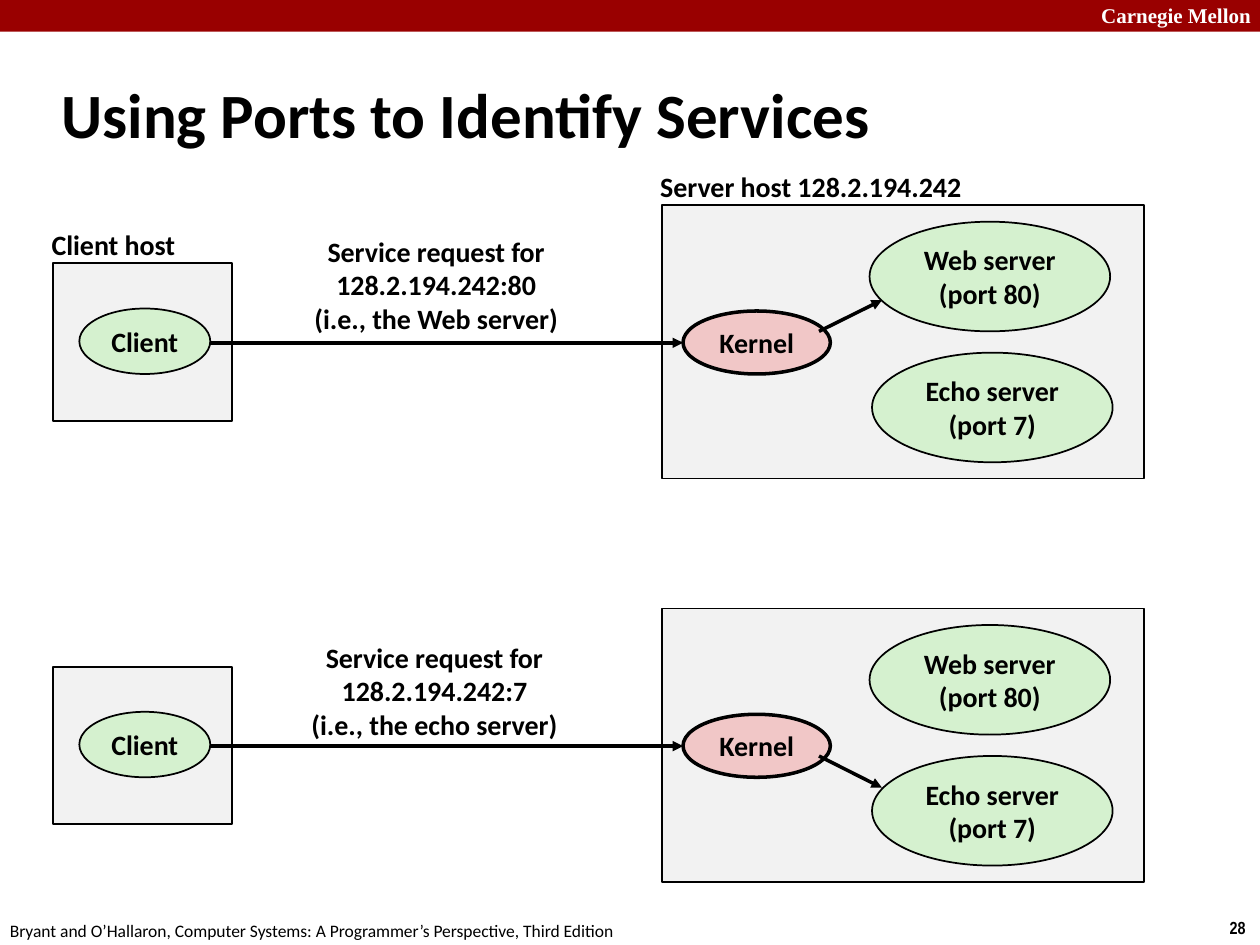
from lxml import etree
from pptx import Presentation
from pptx.dml.color import RGBColor
from pptx.enum import shapes, text
from pptx.oxml import ns
from pptx.util import Cm, Pt

BLACK = RGBColor(0, 0, 0)
WHITE = RGBColor(255, 255, 255)
RED = RGBColor(0x99, 0, 0)
GRAY = RGBColor(0xF2, 0xF2, 0xF2)
GREEN = RGBColor(0xD5, 0xF1, 0xCF)
PINK = RGBColor(0xF1, 0xC7, 0xC7)

RECT = shapes.MSO_SHAPE.RECTANGLE
OVAL = shapes.MSO_SHAPE.OVAL
LEFT, MID = text.PP_ALIGN.LEFT, text.PP_ALIGN.CENTER
TOP, CENTER = text.MSO_ANCHOR.TOP, text.MSO_ANCHOR.MIDDLE

BODY = {"name": "Calibri", "size": Pt(16), "bold": True}
TITLE = {**BODY, "size": Pt(36)}
BRAND = {"name": "Times New Roman", "size": Pt(12), "bold": True}
PAGE = {"name": "Arial Narrow", "size": Pt(10), "bold": True}
FOOT = {"name": "Calibri", "size": Pt(10), "bold": False}

LABELS = [
    (["Carnegie Mellon"], (21.95, -0.08, 3.63, 0.76), BRAND, WHITE, TOP, True),
    (["28"], (24.54, 18.36, 0.86, 0.69), PAGE, BLACK, TOP, False),
    (["Bryant and O’Hallaron, Computer Systems: A Programmer’s Perspective, Third Edition"],
     (-0.05, 18.42, 12.9, 0.69), FOOT, BLACK, TOP, False),
    (["Using Ports to Identify Services"], (0.99, 1.22, 21.08, 2.11), TITLE, BLACK, CENTER, True),
    (["Client host"], (0.79, 4.47, 3.02, 0.94), BODY, BLACK, TOP, False),
    (["Server host 128.2.194.242"], (13.06, 3.3, 6.68, 0.94), BODY, BLACK, TOP, False),
]

NODES = [
    (RECT, [], (1.07, 5.31, 3.61, 3.18), GRAY, 1),
    (RECT, [], (13.34, 4.14, 9.73, 5.51), GRAY, 1),
    (OVAL, ["Web server", "(port 80)"], (17.53, 4.47, 4.85, 2.21), GREEN, 1),
    (OVAL, ["Echo server", "(port 7)"], (17.58, 7.11, 4.85, 2.21), GREEN, 1),
    (OVAL, ["Kernel"], (13.77, 6.27, 2.97, 1.27), PINK, 2),
    (OVAL, ["Client"], (1.6, 6.22, 2.64, 1.32), GREEN, 1),
]

STEP = 8.13
WIRE = (4.24, 6.91, 13.77, 6.91)
ROWS = [
    (["Service request for", "128.2.194.242:80", "(i.e., the Web server)"],
     (5.11, 4.6, 7.37, 2.29), (16.51, 6.68, 17.78, 6.05)),
    (["Service request for", "128.2.194.242:7", "(i.e., the echo server)"],
     (5.99, 4.65, 5.54, 2.31), (16.51, 7.11, 17.78, 7.75)),
]

deck = Presentation()
deck.slide_width, deck.slide_height = Cm(25.4), Cm(19.05)
slide = deck.slides.add_slide(deck.slide_layouts[6])
tree = slide.shapes


def place(box, drop=0):
    x, y, w, h = box
    return Cm(x), Cm(y + drop), Cm(w), Cm(h)


def write(shape, lines, style, color, align, anchor, wrap):
    frame = shape.text_frame
    frame.word_wrap, frame.vertical_anchor = wrap, anchor
    for i, line in enumerate(lines):
        para = frame.paragraphs[0] if i == 0 else frame.add_paragraph()
        para.alignment = align
        run = para.add_run()
        run.text = line
        for key, value in style.items():
            setattr(run.font, key, value)
        run.font.color.rgb = color


def label(lines, box, style, color, anchor, wrap, align=LEFT, drop=0):
    write(tree.add_textbox(*place(box, drop)), lines, style, color, align, anchor, wrap)


def node(kind, lines, box, fill, width, drop=0):
    shape = tree.add_shape(kind, *place(box, drop))
    shape.shadow.inherit = False
    shape.fill.solid()
    shape.fill.fore_color.rgb = fill
    if width:
        shape.line.color.rgb, shape.line.width = BLACK, Pt(width)
    else:
        shape.line.fill.background()
    if lines:
        write(shape, lines, BODY, BLACK, MID, CENTER, False)


def arrow(ends, drop):
    x1, y1, x2, y2 = ends
    wire = tree.add_connector(shapes.MSO_CONNECTOR.STRAIGHT,
                              Cm(x1), Cm(y1 + drop), Cm(x2), Cm(y2 + drop))
    wire.line.color.rgb, wire.line.width = BLACK, Pt(2)
    etree.SubElement(wire.line._get_or_add_ln(), ns.qn("a:tailEnd"), type="triangle")
    etree.SubElement(wire._element.spPr, ns.qn("a:effectLst"))


node(RECT, [], (0, 0, 25.4, 0.64), RED, 0)
for item in LABELS:
    label(*item)
for i, (lines, box, hop) in enumerate(ROWS):
    drop = i * STEP
    for item in NODES:
        node(*item, drop)
    label(lines, box, BODY, BLACK, TOP, i == 0, MID, drop)
    for ends in (WIRE, hop):
        arrow(ends, drop)

deck.save("out.pptx")
